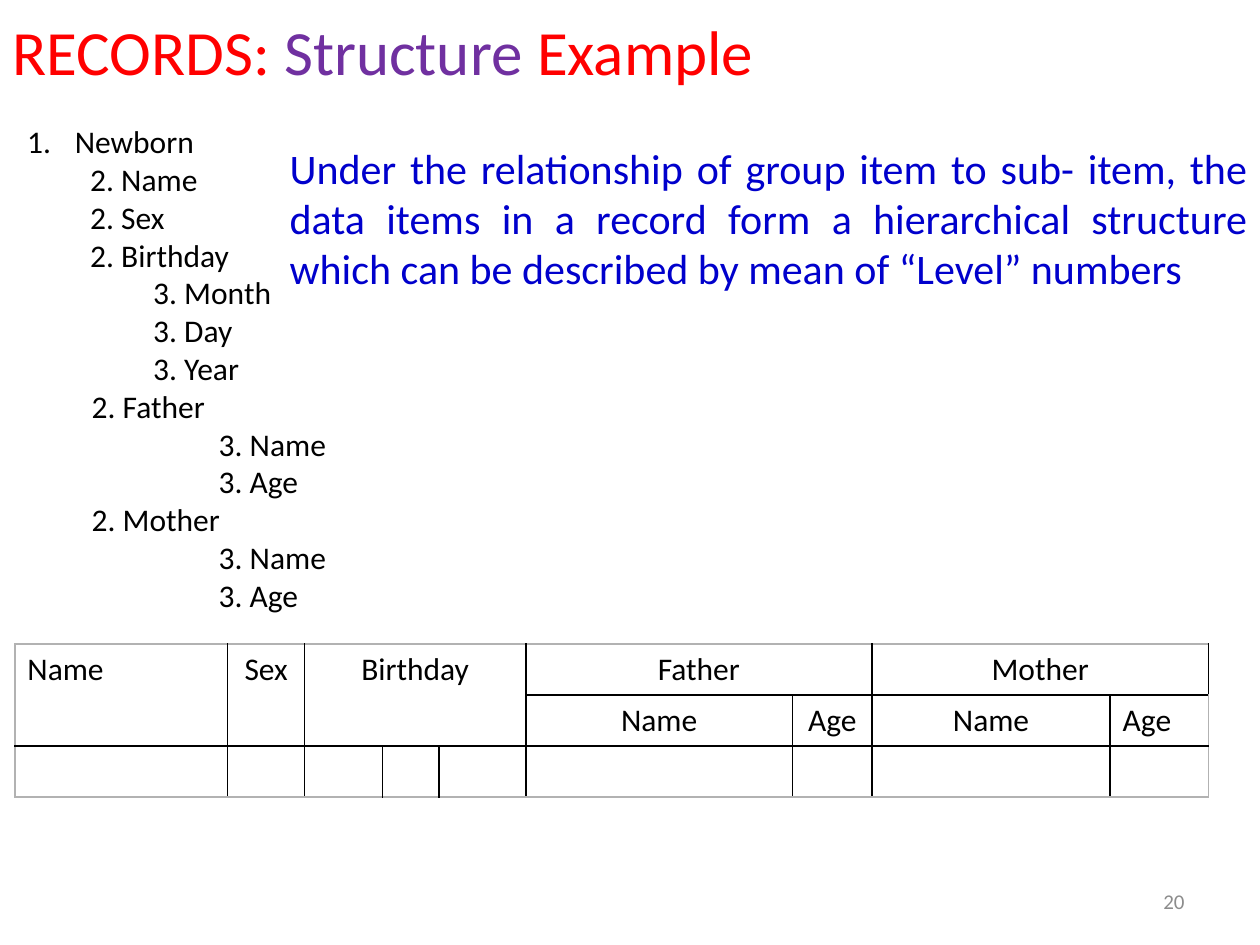
from lxml import etree
from pptx import Presentation
from pptx import util as u
from pptx.dml.color import RGBColor
from pptx.enum import text
from pptx.oxml import ns

AL = text.PP_ALIGN


def style(p, size, color, align=AL.LEFT):
    p.alignment = align
    for r in p.runs:
        r.font.name = "Calibri"
        r.font.size = u.Pt(size)
        r.font.color.rgb = RGBColor.from_string(color)


def add_text(s, x, y, w, h, lines):
    """Add a wrapping text box with one paragraph per line."""
    tf = s.shapes.add_textbox(u.Cm(x), u.Cm(y), u.Cm(w), u.Cm(h)).text_frame
    tf.word_wrap = True
    tf.text = "\n".join(lines)
    return tf


prs = Presentation()
prs.slide_width, prs.slide_height = u.Cm(25.4), u.Cm(19.05)
s = prs.slides.add_slide(prs.slide_layouts[6])

# Title
p = add_text(s, 0, 0.13, 22.89, 1.8, [""]).paragraphs[0]
title = [("RECORDS: ", "FF0000"), ("Structure", "7030A0"), (" Example", "FF0000")]
for word, _ in title:
    p.add_run().text = word
style(p, 36, "FF0000")
for r, (_, color) in zip(p.runs, title):
    r.font.color.rgb = RGBColor.from_string(color)

# Record outline: text, level, left indent in cm
outline = [
    ("Newborn", 0, 0.96),
    ("2. Name", 1, 1.27), ("2. Sex", 1, 1.27), ("2. Birthday", 1, 1.27),
    ("3. Month", 2, 2.54), ("3. Day", 2, 2.54), ("3. Year", 2, 2.54),
    ("2. Father", 2, 1.3), ("3. Name", 2, 3.86), ("3. Age", 2, 3.86),
    ("2. Mother", 2, 1.3), ("3. Name", 2, 3.86), ("3. Age", 2, 3.86),
]
tf = add_text(s, 0.3, 2.34, 24.71, 11.79, [item[0] for item in outline])
for p, (_, level, indent) in zip(tf.paragraphs, outline):
    style(p, 18, "000000")
    p.level = level
    pPr = p._p.get_or_add_pPr()
    pPr.set("marL", str(u.Cm(indent)))
    pPr.set("indent", str(0 if level else -u.Cm(indent)))
    if level == 0:
        etree.SubElement(pPr, ns.qn("a:buFont"), typeface="+mj-lt")
        etree.SubElement(pPr, ns.qn("a:buAutoNum"), type="arabicPeriod")

# Record layout table
widths = [4.29, 1.55, 1.57, 1.14, 1.75, 5.38, 1.6, 4.8, 1.98]
rows, cols = 3, len(widths)
tb = s.shapes.add_table(rows, cols, u.Cm(0.3), u.Cm(12.98),
                        u.Cm(sum(widths)), u.Cm(3.09)).table
tb.first_row = tb.horz_banding = False
for col, w in zip(tb.columns, widths):
    col.width = u.Cm(w)
for row in tb.rows:
    row.height = u.Cm(1.03)

for r in range(rows):
    for c in range(cols):
        cell = tb.cell(r, c)
        tcPr = cell._tc.get_or_add_tcPr()
        outer = {"L": c == 0, "R": c == cols - 1, "T": r == 0, "B": r == rows - 1}
        for side, is_outer in outer.items():
            ln = etree.SubElement(tcPr, ns.qn("a:ln" + side), w=str(u.Pt(1)))
            fill = etree.SubElement(ln, ns.qn("a:solidFill"))
            etree.SubElement(fill, ns.qn("a:srgbClr"),
                             val="B2B2B2" if is_outer else "000000")
        cell.fill.background()

# Headings: row, column, row span, column span, text, alignment
headings = [
    (0, 0, 2, 1, "Name", AL.JUSTIFY), (0, 1, 2, 1, "Sex", AL.CENTER),
    (0, 2, 2, 3, "Birthday", AL.CENTER),
    (0, 5, 1, 2, "Father", AL.CENTER), (0, 7, 1, 2, "Mother", AL.CENTER),
    (1, 5, 1, 1, "Name", AL.CENTER), (1, 6, 1, 1, "Age", AL.CENTER),
    (1, 7, 1, 1, "Name", AL.CENTER), (1, 8, 1, 1, "Age", AL.LEFT),
]
for r, c, down, across, label, align in headings:
    cell = tb.cell(r, c)
    if down * across > 1:
        cell.merge(tb.cell(r + down - 1, c + across - 1))
    cell.text_frame.text = label
    style(cell.text_frame.paragraphs[0], 18, "000000", align)

# Explanation
tf = add_text(s, 5.59, 2.74, 19.81, 3.33, [
    "Under the relationship of group item to sub- item, the data items in a "
    "record form a hierarchical structure which can be described by mean of "
    "“Level” numbers"])
style(tf.paragraphs[0], 24, "0000CC", AL.JUSTIFY)

# Slide number
tf = add_text(s, 18.2, 17.66, 5.93, 1.01, ["20"])
tf.vertical_anchor = text.MSO_ANCHOR.MIDDLE
style(tf.paragraphs[0], 12, "8C8C8C", AL.RIGHT)

prs.save("out.pptx")
